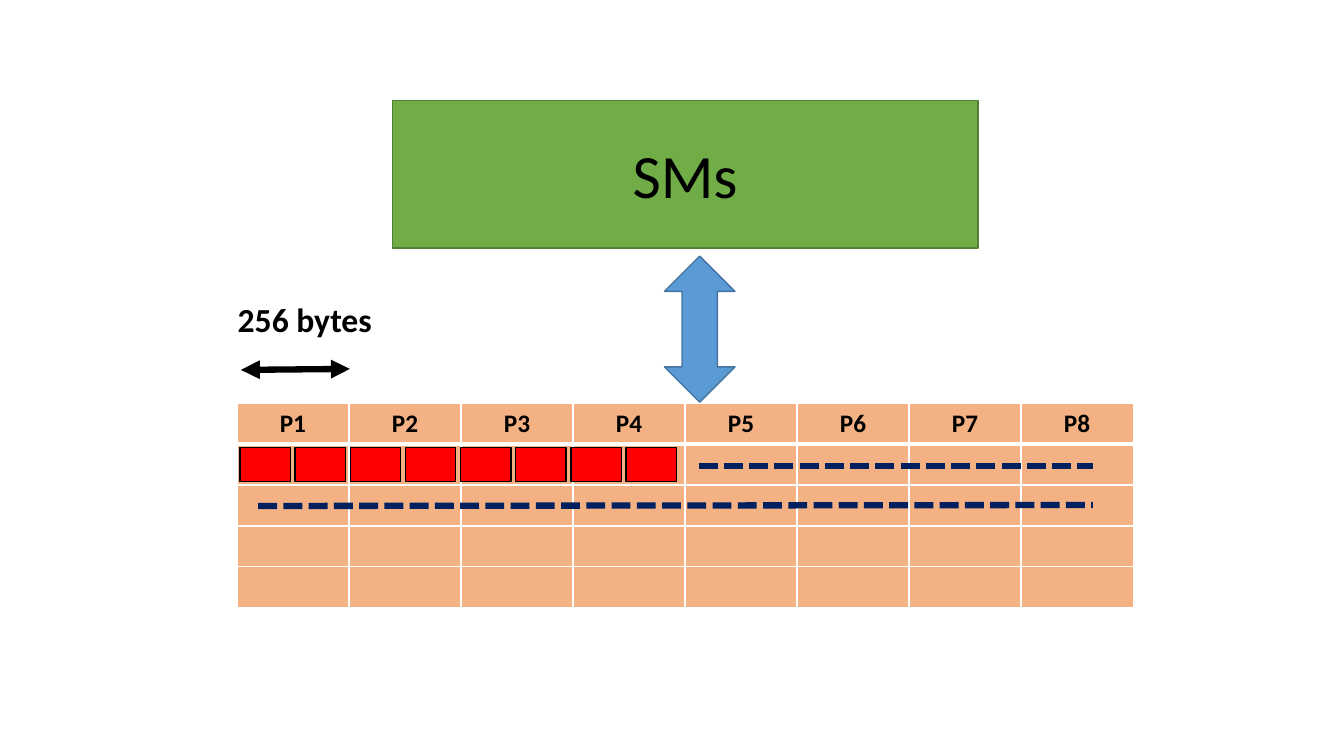
from lxml import etree
from pptx import Presentation
from pptx.dml.color import RGBColor
from pptx.enum.dml import MSO_LINE
from pptx.enum.shapes import MSO_CONNECTOR, MSO_SHAPE
from pptx.enum.text import MSO_ANCHOR, MSO_AUTO_SIZE, PP_ALIGN
from pptx.oxml.ns import qn
from pptx.util import Inches, Pt

RECTANGLE = MSO_SHAPE.RECTANGLE
UP_DOWN_ARROW = MSO_SHAPE.UP_DOWN_ARROW
STRAIGHT = MSO_CONNECTOR.STRAIGHT
SQUARE_DOT = MSO_LINE.SQUARE_DOT
MIDDLE = MSO_ANCHOR.MIDDLE
FIT_SHAPE = MSO_AUTO_SIZE.SHAPE_TO_FIT_TEXT
CENTER = PP_ALIGN.CENTER
LEFT = PP_ALIGN.LEFT

FONT = "Calibri"
BLACK = "000000"
WHITE = "FFFFFF"
NAVY = "002060"
PARTITIONS = 8
ROWS = 5
BLOCKS = 8


def color(value):
    return RGBColor.from_string(value)


def write(frame, text, size, bold=False, align=CENTER):
    para = frame.paragraphs[0]
    para.alignment = align
    span = para.add_run()
    span.text = text
    span.font.name = FONT
    span.font.size = Pt(size)
    span.font.bold = bold
    span.font.color.rgb = color(BLACK)


def add_box(page, kind, box, fill, outline):
    shape = page.shapes.add_shape(kind, *map(Inches, box))
    shape.shadow.inherit = False
    shape.fill.solid()
    shape.fill.fore_color.rgb = color(fill)
    shape.line.color.rgb = color(outline)
    shape.line.width = Pt(1)
    return shape


def add_line(page, start, end, line_color):
    line = page.shapes.add_connector(STRAIGHT, *map(Inches, (*start, *end)))
    line.line.color.rgb = color(line_color)
    line.line.width = Pt(4.5)
    etree.SubElement(line._element.spPr, qn("a:effectLst"))
    return line


def set_border(cell, side, width):
    border = etree.SubElement(cell._tc.get_or_add_tcPr(), qn(f"a:ln{side}"), w=str(Pt(width)))
    fill = etree.SubElement(border, qn("a:solidFill"))
    etree.SubElement(fill, qn("a:srgbClr"), val=WHITE)


def add_processors(page, box):
    shape = add_box(page, RECTANGLE, box, "70AD47", "538035")
    shape.text_frame.vertical_anchor = MIDDLE
    write(shape.text_frame, "SMs", 44)


def add_memory_table(page, box):
    left, top, width, height = box
    frame = page.shapes.add_table(ROWS, PARTITIONS, *map(Inches, box))
    table = frame.table
    table.horz_banding = False
    for column in table.columns:
        column.width = Inches(width / PARTITIONS)
    for row in table.rows:
        row.height = Inches(height / ROWS)
    for row in range(ROWS):
        for column in range(PARTITIONS):
            cell = table.cell(row, column)
            set_border(cell, "L", 1)
            set_border(cell, "R", 1)
            set_border(cell, "T", 3 if row == 1 else 1)
            set_border(cell, "B", 3 if row == 0 else 1)
            cell.fill.solid()
            cell.fill.fore_color.rgb = color("F4B183")
            if row == 0:
                cell.vertical_anchor = MIDDLE
                write(cell.text_frame, f"P{column + 1}", 18, bold=True)


def add_memory_contents(page, box):
    left, top, width, height = box
    pitch = 3.83 / (BLOCKS - 1)
    for index in range(BLOCKS):
        block = (left + 0.03 + index * pitch, top + 0.44, 0.5, 0.34)
        add_box(page, RECTANGLE, block, "FF0000", BLACK)
    right = left + width - 0.4
    for start, end in (
        ((left + 4.58, top + 0.62), (right, top + 0.62)),
        ((left + 0.21, top + 1.02), (right, top + 1.01)),
    ):
        add_line(page, start, end, NAVY).line.dash_style = SQUARE_DOT


def add_width_label(page, box):
    left, top, width, height = box
    arrow = add_line(page, (left + 0.13, top + 0.75), (left + 1.21, top + 0.74), BLACK)
    outline = arrow.line._get_or_add_ln()
    for end in ("headEnd", "tailEnd"):
        etree.SubElement(outline, qn(f"a:{end}"), type="triangle")
    label = page.shapes.add_textbox(*map(Inches, box))
    label.text_frame.word_wrap = True
    label.text_frame.auto_size = FIT_SHAPE
    write(label.text_frame, "256 bytes", 24, bold=True, align=LEFT)


def build_memory_page(deck):
    page = deck.slides.add_slide(deck.slide_layouts[6])
    memory = (2.35, 4, 8.89, 2.03)
    add_memory_table(page, memory)
    add_processors(page, (3.89, 1, 5.81, 1.46))
    add_box(page, UP_DOWN_ARROW, (6.59, 2.54, 0.7, 1.45), "5B9BD5", "43739E")
    add_memory_contents(page, memory)
    add_width_label(page, (2.26, 2.92, 1.94, 0.5))


def main():
    deck = Presentation()
    deck.slide_width = Inches(13.33)
    deck.slide_height = Inches(7.5)
    build_memory_page(deck)
    deck.save("out.pptx")


if __name__ == "__main__":
    main()
